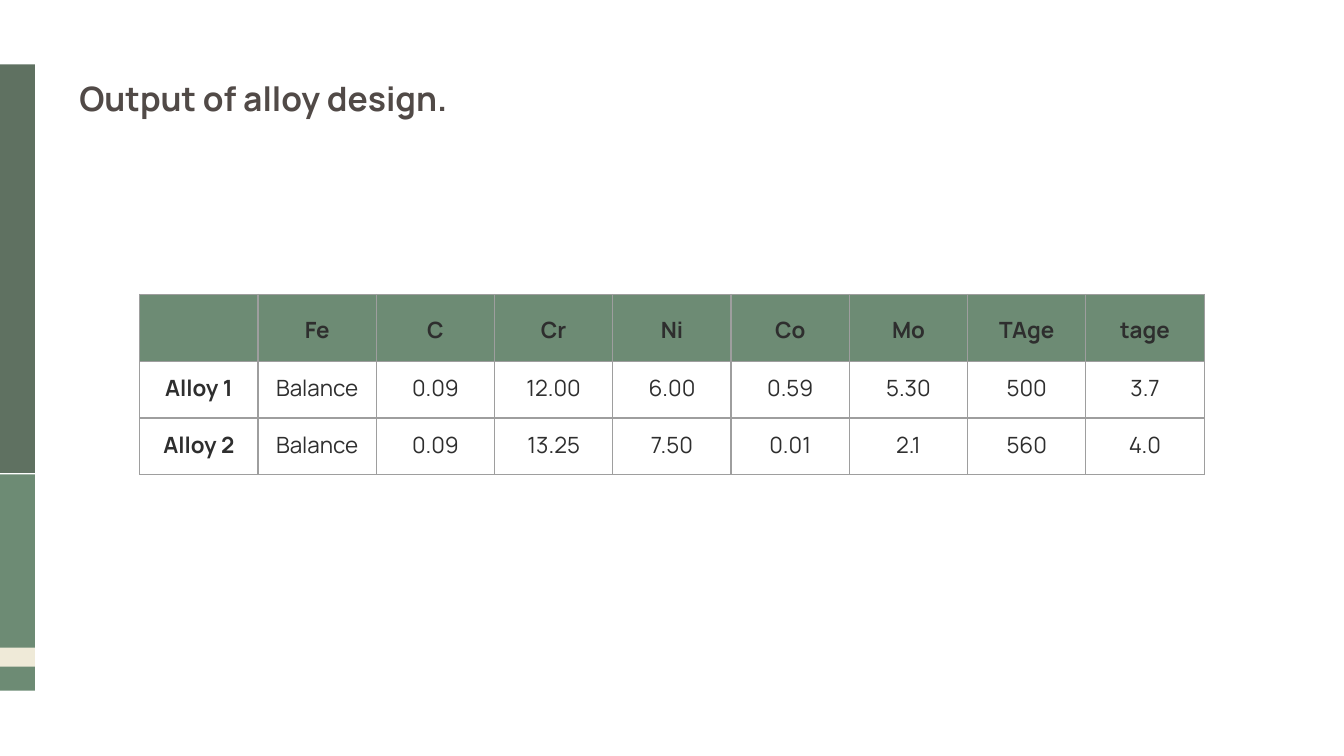
"""Build the slide that tabulates the output of alloy design."""
from dataclasses import dataclass

import lxml.etree
import pptx
import pptx.dml.color
import pptx.enum.shapes
import pptx.enum.text
import pptx.oxml.ns
import pptx.util

Inches = pptx.util.Inches
Pt = pptx.util.Pt


@dataclass(frozen=True)
class Theme:
    font: str = "Manrope"
    title_size: int = 18
    table_size: int = 12
    title: str = "514A47"
    text: str = "2E2E2E"
    dark_green: str = "5F7161"
    green: str = "6D8B74"
    cream: str = "EFEAD8"
    border: str = "9E9E9E"
    border_width: float = 0.75


THEME = Theme()

SLIDE_WIDTH = 10
SLIDE_HEIGHT = SLIDE_WIDTH * 9 / 16

ACCENT_WIDTH = 0.26
ACCENT_BANDS = [
    (0.48, 3.04, THEME.dark_green),
    (3.53, 1.61, THEME.green),
    (4.82, 0.14, THEME.cream),
]

COLUMN_WIDTH = 0.88
ROW_HEIGHTS = [0.5, 0.42, 0.42]
ALLOY_ROWS = [
    ["", "Fe", "C", "Cr", "Ni", "Co", "Mo", "TAge", "tage"],
    ["Alloy 1", "Balance", "0.09", "12.00", "6.00", "0.59", "5.30", "500", "3.7"],
    ["Alloy 2", "Balance", "0.09", "13.25", "7.50", "0.01", "2.1", "560", "4.0"],
]


def rgb(value):
    return pptx.dml.color.RGBColor.from_string(value)


def set_font(paragraph, size, color, bold):
    paragraph.font.name = THEME.font
    paragraph.font.size = Pt(size)
    paragraph.font.bold = bold
    paragraph.font.color.rgb = rgb(color)


def set_margins(target, margin):
    target.margin_left = target.margin_right = Inches(margin)
    target.margin_top = target.margin_bottom = Inches(margin)


def add_accent_bar(slide):
    group = slide.shapes.add_group_shape()
    for top, height, color in ACCENT_BANDS:
        shape = group.shapes.add_shape(
            pptx.enum.shapes.MSO_SHAPE.RECTANGLE,
            0, Inches(top), Inches(ACCENT_WIDTH), Inches(height),
        )
        shape.shadow.inherit = False
        shape.fill.solid()
        shape.fill.fore_color.rgb = rgb(color)
        shape.line.fill.background()


def set_title(slide, text):
    title = slide.shapes.title
    title.left, title.top = Inches(0.49), Inches(0.48)
    title.width, title.height = Inches(7.38), Inches(0.5)
    frame = title.text_frame
    frame.text = text
    frame.word_wrap = True
    frame.auto_size = pptx.enum.text.MSO_AUTO_SIZE.SHAPE_TO_FIT_TEXT
    frame.vertical_anchor = pptx.enum.text.MSO_ANCHOR.TOP
    set_margins(frame, 0.1)
    paragraph = frame.paragraphs[0]
    paragraph.alignment = pptx.enum.text.PP_ALIGN.LEFT
    set_font(paragraph, THEME.title_size, THEME.title, True)


def set_borders(cell):
    qn = pptx.oxml.ns.qn
    properties = cell._tc.get_or_add_tcPr()
    for index, side in enumerate(("a:lnL", "a:lnR", "a:lnT", "a:lnB")):
        line = lxml.etree.Element(qn(side), w=str(Pt(THEME.border_width)))
        fill = lxml.etree.SubElement(line, qn("a:solidFill"))
        lxml.etree.SubElement(fill, qn("a:srgbClr"), val=THEME.border)
        properties.insert(index, line)


def format_cell(cell, text, is_header, bold):
    cell.text = text
    set_margins(cell, 0.05)
    if is_header:
        cell.vertical_anchor = pptx.enum.text.MSO_ANCHOR.MIDDLE
        cell.fill.solid()
        cell.fill.fore_color.rgb = rgb(THEME.green)
    else:
        cell.fill.background()
    set_borders(cell)
    paragraph = cell.text_frame.paragraphs[0]
    paragraph.alignment = pptx.enum.text.PP_ALIGN.CENTER
    paragraph.line_spacing = 1.15
    set_font(paragraph, THEME.table_size, THEME.text, bold)


def add_alloy_table(slide):
    column_count = len(ALLOY_ROWS[0])
    table = slide.shapes.add_table(
        len(ALLOY_ROWS), column_count, Inches(1.04), Inches(2.19),
        Inches(COLUMN_WIDTH * column_count), Inches(sum(ROW_HEIGHTS)),
    ).table
    table.first_row = table.horz_banding = False
    for column in table.columns:
        column.width = Inches(COLUMN_WIDTH)
    for row_index, values in enumerate(ALLOY_ROWS):
        table.rows[row_index].height = Inches(ROW_HEIGHTS[row_index])
        for column_index, text in enumerate(values):
            is_header = row_index == 0
            bold = is_header or column_index == 0
            format_cell(table.cell(row_index, column_index), text, is_header, bold)


def main():
    presentation = pptx.Presentation()
    presentation.slide_width = Inches(SLIDE_WIDTH)
    presentation.slide_height = Inches(SLIDE_HEIGHT)
    slide = presentation.slides.add_slide(presentation.slide_layouts[5])
    add_accent_bar(slide)
    set_title(slide, "Output of alloy design.")
    add_alloy_table(slide)
    presentation.save("out.pptx")


if __name__ == "__main__":
    main()
